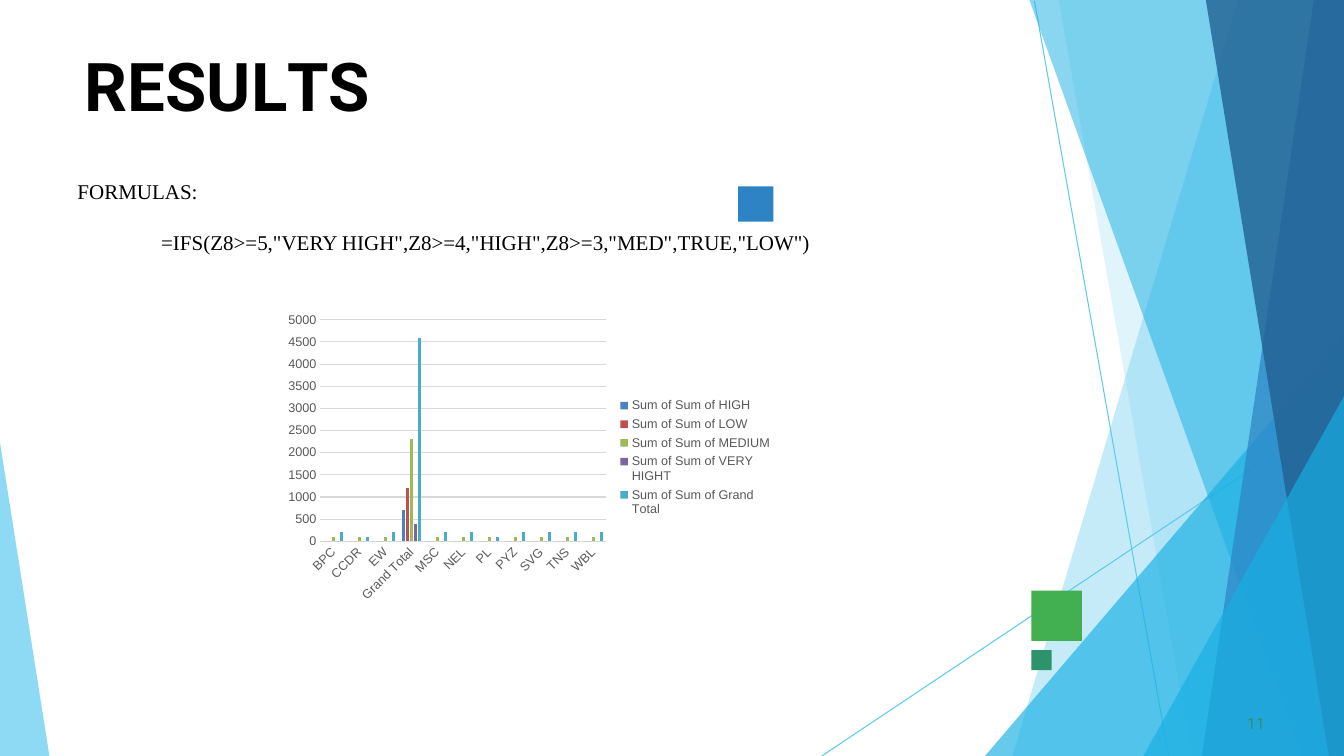
import lxml.etree
import pptx
import pptx.chart.data
import pptx.dml.color
import pptx.enum.chart
import pptx.enum.shapes
import pptx.oxml.ns
import pptx.util
from pptx.util import Inches

WIDTH, HEIGHT = 13.33, 7.5
BLACK, GREY, PALE_GREY = "000000", "595959", "D9D9D9"
SKY, CYAN, BLUE, NAVY, TEAL = "5FCAEE", "17AFE3", "2D83C3", "226192", "2D936B"

RAYS = [((10.26, 0.01), (11.59, HEIGHT)), ((WIDTH, 4.04), (8.15, HEIGHT))]
RIGHT_FACETS = [
    (12.28, 0, 10.04, SKY, 36),
    (10.5, 0, 11.82, SKY, 20),
    (WIDTH, 3.33, 9.77, CYAN, 66),
    (10.21, 0, 12.91, CYAN, 50),
    (13.03, 0, 11.92, BLUE, 70),
    (11.96, 0, 13.18, NAVY, 80),
    (WIDTH, 3.93, 11.34, CYAN, 66),
]
SQUARES = [
    (10.23, 5.86, 0.5, "42AF51"),
    (7.32, 1.85, 0.35, BLUE),
    (10.23, 6.45, 0.2, TEAL),
]
TITLE_RUNS = [("R", 0), ("E", -0.4), ("S", 0.1), ("U", -0.3), ("L", -4), ("TS", 0)]
FORMULA = '=IFS(Z8>=5,"VERY HIGH",Z8>=4,"HIGH",Z8>=3,"MED",TRUE,"LOW")'

UNITS = ["BPC", "CCDR", "EW", "Grand Total", "MSC", "NEL", "PL", "PYZ", "SVG", "TNS", "WBL"]
RATINGS = [
    ("HIGH", "4F81BD", [0, 0, 0, 700] + [0] * 7),
    ("LOW", "C0504D", [0, 0, 0, 1200] + [0] * 7),
    ("MEDIUM", "9BBB59", [100, 100, 100, 2300] + [100] * 7),
    ("VERY HIGHT", "8064A2", [0, 0, 0, 400] + [0] * 7),
    ("Grand Total", "4BACC6", [200, 100, 200, 4600, 200, 200, 100, 200, 200, 200, 200]),
]


def color(value):
    """Turn a hex string into a colour."""
    return pptx.dml.color.RGBColor.from_string(value)


def apply_format(target, **values):
    """Set each named format value on the target."""
    for name, value in values.items():
        setattr(target, name, value)


def style_font(font, size, hue, typeface, **values):
    """Give a font its size, colour, typeface and other values."""
    apply_format(font, size=pptx.util.Pt(size), name=typeface, **values)
    font.fill.solid()
    font.fill.fore_color.rgb = color(hue)


def style_line(line, hue):
    """Draw a thin line in one colour."""
    line.width = pptx.util.Pt(0.75)
    line.color.rgb = color(hue)


def paint(shape, hue, opacity=100):
    """Fill a shape without outline or shadow."""
    shape.shadow.inherit = False
    shape.line.fill.background()
    shape.fill.solid()
    shape.fill.fore_color.rgb = color(hue)
    if opacity < 100:
        tint = shape.fill._xPr.find(".//" + pptx.oxml.ns.qn("a:srgbClr"))
        alpha = lxml.etree.SubElement(tint, pptx.oxml.ns.qn("a:alpha"))
        alpha.set("val", str(opacity * 1000))


def add_ray(slide, start, end):
    """Add a thin sky-blue line."""
    ray = slide.shapes.add_connector(
        pptx.enum.shapes.MSO_CONNECTOR.STRAIGHT, *map(Inches, start + end))
    style_line(ray.line, SKY)
    lxml.etree.SubElement(ray._element.spPr, pptx.oxml.ns.qn("a:effectLst"))


def add_facet(slide, corners, hue, opacity):
    """Add a translucent polygon."""
    first, *others = [(Inches(x), Inches(y)) for x, y in corners]
    outline = slide.shapes.build_freeform(*first)
    outline.add_line_segments(others, close=True)
    paint(outline.convert_to_shape(), hue, opacity)


def add_square(slide, left, top, side, hue):
    """Add a plain accent square."""
    square = slide.shapes.add_shape(
        pptx.enum.shapes.MSO_SHAPE.RECTANGLE,
        Inches(left), Inches(top), Inches(side), Inches(side))
    paint(square, hue)


def add_text(slide, box, paragraphs, size, hue, typeface, bold=False, **margins):
    """Add a text box of (runs, indent, space before) paragraphs."""
    frame = slide.shapes.add_textbox(*map(Inches, box)).text_frame
    apply_format(frame, word_wrap=True, **margins)
    for index, (runs, indent, before) in enumerate(paragraphs):
        paragraph = frame.add_paragraph() if index else frame.paragraphs[0]
        paragraph.space_before = pptx.util.Pt(before)
        paragraph._p.get_or_add_pPr().set("marL", str(Inches(indent)))
        for text, spacing in runs:
            run = paragraph.add_run()
            run.text = text
            style_font(run.font, size, hue, typeface, bold=bold)
            run._r.get_or_add_rPr().set("spc", str(round(spacing * 100)))


def add_ratings_chart(slide):
    """Add the clustered columns of ratings per unit."""
    kinds = pptx.enum.chart
    ratings = pptx.chart.data.CategoryChartData()
    ratings.categories = UNITS
    for rating, _, sums in RATINGS:
        ratings.add_series(f"Sum of Sum of {rating}", sums)
    chart = slide.shapes.add_chart(
        kinds.XL_CHART_TYPE.COLUMN_CLUSTERED,
        Inches(2.76), Inches(3.04), Inches(5), Inches(3), ratings).chart
    apply_format(chart, has_title=False, has_legend=True)
    style_font(chart.font, 10, BLACK, "Arial")
    apply_format(chart.legend, position=kinds.XL_LEGEND_POSITION.RIGHT, include_in_layout=False)
    style_font(chart.legend.font, 9, GREY, "Arial")

    columns = chart.plots[0]
    apply_format(columns, gap_width=219, overlap=-27, vary_by_categories=False)
    for series, (_, hue, _) in zip(columns.series, RATINGS):
        series.format.fill.solid()
        series.format.fill.fore_color.rgb = color(hue)

    units, sums = chart.category_axis, chart.value_axis
    for axis in (units, sums):
        apply_format(axis, major_tick_mark=kinds.XL_TICK_MARK.NONE,
                     minor_tick_mark=kinds.XL_TICK_MARK.NONE)
        style_font(axis.tick_labels.font, 9, GREY, "Arial")
    units._element.txPr.bodyPr.set("rot", "-2700000")
    style_line(units.format.line, PALE_GREY)
    apply_format(sums, minimum_scale=0, maximum_scale=5000, major_unit=500,
                 has_major_gridlines=True)
    sums.format.line.fill.background()
    style_line(sums.major_gridlines.format.line, PALE_GREY)


def main():
    """Build the results slide."""
    deck = pptx.Presentation()
    apply_format(deck, slide_width=Inches(WIDTH), slide_height=Inches(HEIGHT))
    slide = deck.slides.add_slide(deck.slide_layouts[6])

    for start, end in RAYS:
        add_ray(slide, start, end)
    for top_x, top_y, bottom_x, hue, opacity in RIGHT_FACETS:
        corners = [(WIDTH, top_y), (top_x, top_y), (bottom_x, HEIGHT), (WIDTH, HEIGHT)]
        add_facet(slide, corners, hue, opacity)
    add_facet(slide, [(0, 4.39), (0, HEIGHT), (0.49, HEIGHT)], SKY, 70)
    for square in SQUARES:
        add_square(slide, *square)

    tight = dict(margin_left=0, margin_top=Inches(0.01), margin_right=0, margin_bottom=0)
    add_text(slide, (0.83, 0.43, 11.68, 0.81), [(TITLE_RUNS, 0.01, 1.1)],
             48, BLACK, "Roboto", bold=True, **tight)
    add_text(slide, (0.67, 1.72, 12, 2.63),
             [([("FORMULAS:", 0)], 0, 0), ([(FORMULA, 0)], 0.83, 18.5)],
             15, BLACK, "Times New Roman")
    add_text(slide, (12.33, 7.07, 0.25, 0.18), [([("11", 0.1)], 0.04, 0.6)],
             11, TEAL, "Roboto", **tight)
    add_ratings_chart(slide)
    deck.save("out.pptx")


if __name__ == "__main__":
    main()
